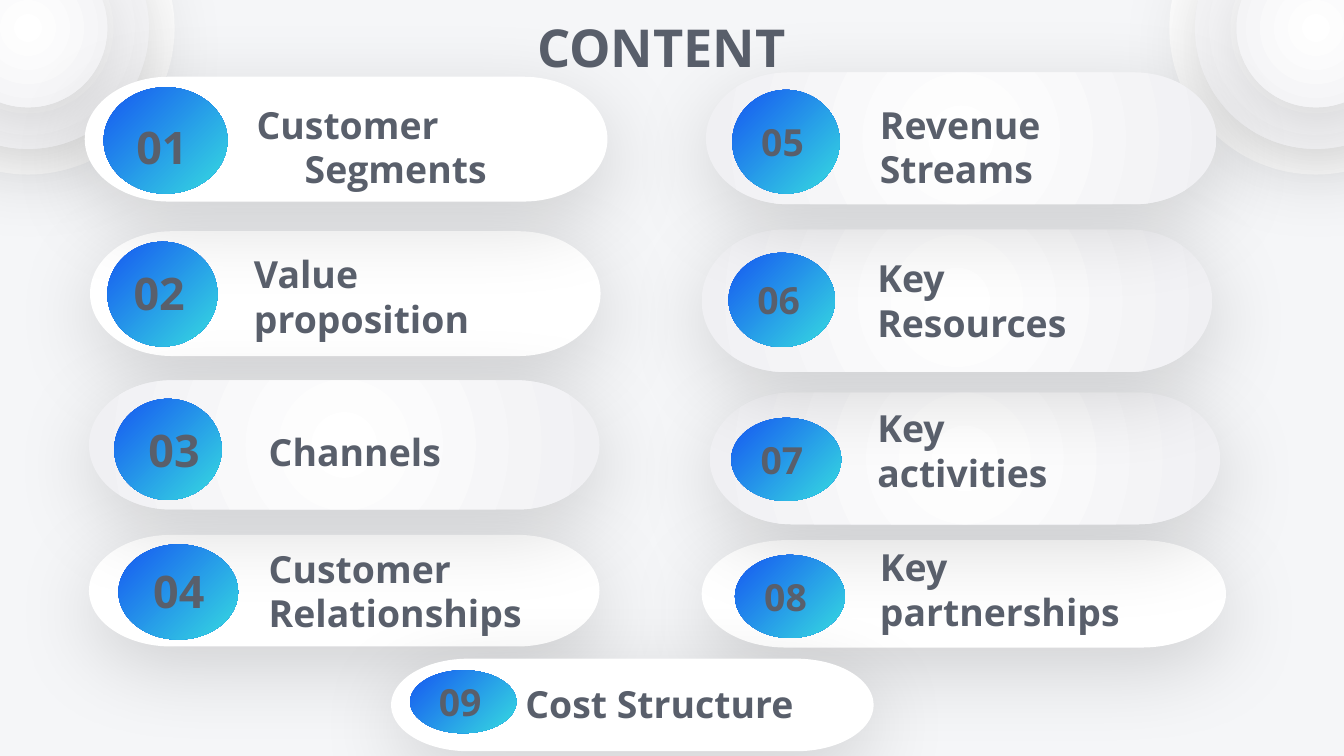
"""Build the CONTENT slide: nine numbered pills on a soft grey background."""
from lxml import etree
from pptx import Presentation
from pptx import util as u
from pptx.dml.color import RGBColor
from pptx.enum import shapes, text
from pptx.oxml import ns

FONT, INK = "Open Sans", "595F6B"
BACKGROUND, WHITE = "F5F6F8", "FFFFFF"
PEARL, BLUE = ("FFFFFF", "F0F0F3"), ("1658F1", "36DBE0")
SLIDE_SIZE = (25.4, 14.29)
TITLE, TITLE_BOX = "CONTENT", (1.78, 0.36, 21.44, 1.04)

CORNER_INSET = 0.53
RINGS = [(5.54, WHITE, False), (4.57, PEARL, True), (3.0, PEARL, True)]

# number: (pill, pill fill, badge, label, label box)
CARDS = {
    "01": ((1.6, 1.45, 9.88, 2.36), WHITE, (1.96, 1.65, 2.34, 2.01),
           "Customer Segments", (4.24, 1.8, 7.04, 1.96)),
    "02": ((1.7, 4.37, 9.65, 2.36), WHITE, (2.03, 4.57, 2.08, 1.98),
           "Value proposition", (4.55, 4.62, 5.69, 1.96)),
    "03": ((1.68, 7.19, 9.65, 2.44), PEARL, (2.16, 7.54, 2.03, 1.91),
           "Channels", (4.83, 7.98, 3.91, 1.12)),
    "04": ((1.68, 10.11, 9.65, 2.11), WHITE, (2.24, 10.29, 2.26, 1.8),
           "Customer Relationships", (4.83, 10.19, 5.38, 1.96)),
    "05": ((13.34, 1.37, 9.65, 2.49), PEARL, (13.84, 1.7, 2.03, 1.96),
           "Revenue Streams", (16.38, 1.8, 5.28, 1.96)),
    "06": ((13.26, 4.34, 9.65, 2.69), PEARL, (13.77, 4.78, 2.01, 1.78),
           "Key Resources", (16.33, 4.7, 4.85, 1.96)),
    "07": ((13.41, 7.42, 9.65, 2.49), PEARL, (13.82, 7.9, 2.08, 1.57),
           "Key activities", (16.33, 7.54, 4.17, 1.96)),
    "08": ((13.26, 10.21, 9.91, 2.03), WHITE, (13.89, 10.49, 2.08, 1.57),
           "Key partnerships", (16.38, 10.16, 5.61, 1.96)),
    "09": ((7.39, 12.45, 9.12, 1.75), WHITE, (7.75, 12.67, 2.01, 1.19),
           "Cost Structure", (9.68, 12.75, 5.89, 1.12)),
}
PILL_ORDER = ("04", "02", "03", "01", "08", "07", "06", "05", "09")
LARGE_NUMBERS = {
    "01": (1.88, 2.03, 2.36, 1.47),
    "02": (1.83, 4.75, 2.36, 1.55),
    "03": (2.21, 7.59, 2.16, 1.8),
    "04": (2.49, 10.8, 1.78, 0.71),
}
HANGING = {"01": (1.27, -0.91)}


def color(value):
    return RGBColor.from_string(value)


def lengths(box):
    return [u.Cm(value) for value in box]


def paint(shape, fill, radial):
    if isinstance(fill, str):
        shape.fill.solid()
        shape.fill.fore_color.rgb = color(fill)
        return
    shape.fill.gradient()
    shape.fill.gradient_angle = 315
    for stop, value, position in zip(shape.fill.gradient_stops, fill, (0, 1)):
        stop.color.rgb = color(value)
        stop.position = position
    if radial:
        gradient = shape._element.spPr.find(ns.qn("a:gradFill"))
        gradient.remove(gradient.find(ns.qn("a:lin")))
        circle = etree.SubElement(gradient, ns.qn("a:path"), path="circle")
        etree.SubElement(circle, ns.qn("a:fillToRect"),
                         l="50000", t="50000", r="50000", b="50000")


def add_shadow(shape):
    effects = shape._element.spPr.find(ns.qn("a:effectLst"))
    shadow = etree.SubElement(
        effects, ns.qn("a:outerShdw"), blurRad=str(u.Pt(45)), dist=str(u.Pt(11.2)),
        dir=str(85 * 60000), algn="bl", rotWithShape="0")
    black = etree.SubElement(shadow, ns.qn("a:srgbClr"), val="000000")
    etree.SubElement(black, ns.qn("a:alpha"), val="15000")


def add_figure(slide, kind, box, fill, radial=False, shadow=False):
    shape = slide.shapes.add_shape(kind, *lengths(box))
    shape.shadow.inherit = False
    shape.line.fill.background()
    paint(shape, fill, radial)
    if shadow:
        add_shadow(shape)
    return shape


def write(shape, words, size, align=text.PP_ALIGN.LEFT, anchor=text.MSO_ANCHOR.MIDDLE):
    frame = shape.text_frame
    frame.word_wrap = True
    frame.vertical_anchor = anchor
    paragraph = frame.paragraphs[0]
    paragraph.text = words
    paragraph.alignment = align
    font = paragraph.font
    font.name, font.size, font.bold = FONT, u.Pt(size), True
    font.color.rgb = color(INK)
    return paragraph


def add_rings(slide):
    for center in (CORNER_INSET, SLIDE_SIZE[0] - CORNER_INSET):
        for diameter, fill, shadow in RINGS:
            box = (center - diameter / 2, CORNER_INSET - diameter / 2, diameter, diameter)
            add_figure(slide, shapes.MSO_SHAPE.OVAL, box, fill, True, shadow)


def add_cards(slide):
    for number in PILL_ORDER:
        box, fill = CARDS[number][:2]
        pill = add_figure(slide, shapes.MSO_SHAPE.FLOWCHART_TERMINATOR, box, fill, True, True)
        pill.rotation = 180
    for number, (_, _, badge_box, label, label_box) in CARDS.items():
        badge = add_figure(slide, shapes.MSO_SHAPE.OVAL, badge_box, BLUE)
        if number in LARGE_NUMBERS:
            number_box = slide.shapes.add_textbox(*lengths(LARGE_NUMBERS[number]))
            write(number_box, number, 24, text.PP_ALIGN.CENTER)
        else:
            write(badge, number, 20)
        label_shape = slide.shapes.add_textbox(*lengths(label_box))
        paragraph = write(label_shape, label, 20, anchor=text.MSO_ANCHOR.TOP)
        if number in HANGING:
            margin, indent = lengths(HANGING[number])
            properties = paragraph._p.get_or_add_pPr()
            properties.set("marL", str(margin))
            properties.set("indent", str(indent))


def main():
    presentation = Presentation()
    presentation.slide_width, presentation.slide_height = lengths(SLIDE_SIZE)
    slide = presentation.slides.add_slide(presentation.slide_layouts[5])
    slide.background.fill.solid()
    slide.background.fill.fore_color.rgb = color(BACKGROUND)
    title = slide.shapes.title
    title.left, title.top, title.width, title.height = lengths(TITLE_BOX)
    write(title, TITLE, 28, text.PP_ALIGN.CENTER)
    add_rings(slide)
    add_cards(slide)
    presentation.save("out.pptx")


if __name__ == "__main__":
    main()
